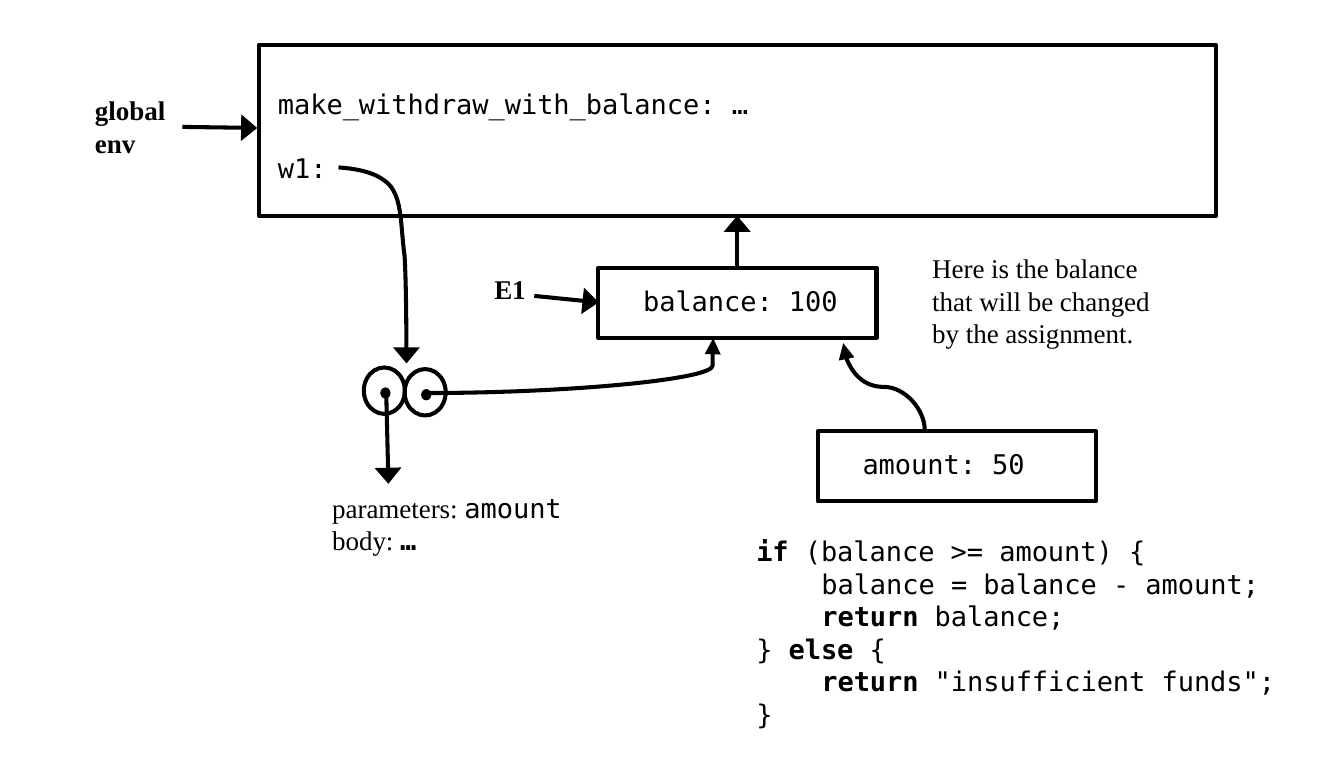
import dataclasses

import lxml.etree
import pptx
import pptx.dml.color
import pptx.enum.shapes
import pptx.enum.text
import pptx.oxml.ns
import pptx.util

Pt = pptx.util.Pt
qn = pptx.oxml.ns.qn
SHAPE = pptx.enum.shapes.MSO_SHAPE
CONNECTOR = pptx.enum.shapes.MSO_CONNECTOR


@dataclasses.dataclass(frozen=True)
class Theme:
    ink: pptx.dml.color.RGBColor = pptx.dml.color.RGBColor(0, 0, 0)
    serif: str = "Times New Roman"
    mono: str = "DejaVu Sans Mono"
    text_size: float = 10
    leading: float = 12.05
    line_width: float = 1.5
    code_indent: float = 24.1


class Diagram:
    def __init__(self, slide, theme):
        self.slide = slide
        self.theme = theme

    def stroke(self, shape):
        shape.line.color.rgb = self.theme.ink
        shape.line.width = Pt(self.theme.line_width)

    def outline(self, kind, left, top, width, height):
        shape = self.slide.shapes.add_shape(kind, Pt(left), Pt(top), Pt(width), Pt(height))
        shape.shadow.inherit = False
        shape.fill.background()
        self.stroke(shape)
        return shape

    def dot(self, center_x, center_y, width, height):
        shape = self.outline(SHAPE.OVAL, center_x - width / 2, center_y - height / 2, width, height)
        shape.fill.solid()
        shape.fill.fore_color.rgb = self.theme.ink
        shape.line.fill.background()

    def arrowhead(self, shape, end="tailEnd", width="lg"):
        line = shape.line._get_or_add_ln()
        lxml.etree.SubElement(line, qn("a:" + end), type="triangle", w=width, len="med")

    def connector(self, kind, begin, end):
        connector = self.slide.shapes.add_connector(kind, *map(Pt, begin + end))
        self.stroke(connector)
        lxml.etree.SubElement(connector._element.spPr, qn("a:effectLst"))
        return connector

    def arrow(self, begin, end):
        self.arrowhead(self.connector(CONNECTOR.STRAIGHT, begin, end))

    def curved_arrow(self, begin, end, rotation, bend):
        connector = self.connector(CONNECTOR.CURVE, begin, end)
        properties = connector._element.spPr
        properties.find(qn("a:xfrm")).set("rot", str(rotation * 60000))
        adjustments = properties.find(qn("a:prstGeom")).find(qn("a:avLst"))
        lxml.etree.SubElement(adjustments, qn("a:gd"), name="adj1", fmla=f"val {bend}")
        self.arrowhead(connector, "headEnd", "med")

    def bezier_arrow(self, start, curves, steps=12):
        points = [start]
        for first, second, end in curves:
            begin = points[-1]
            for step in range(1, steps + 1):
                t = step / steps
                u = 1 - t
                points.append(tuple(
                    u**3 * a + 3 * u * u * t * b + 3 * u * t * t * c + t**3 * d
                    for a, b, c, d in zip(begin, first, second, end)))
        points = [(Pt(x), Pt(y)) for x, y in points]
        builder = self.slide.shapes.build_freeform(*points[0])
        builder.add_line_segments(points[1:], close=False)
        shape = builder.convert_to_shape()
        shape.shadow.inherit = False
        shape.fill.background()
        self.stroke(shape)
        self.arrowhead(shape)

    def text(self, left, top, width, height, lines, font, bold=None, wrap=True, indents=()):
        box = self.slide.shapes.add_textbox(Pt(left), Pt(top), Pt(width), Pt(height))
        frame = box.text_frame
        frame.word_wrap = wrap
        frame.auto_size = pptx.enum.text.MSO_AUTO_SIZE.SHAPE_TO_FIT_TEXT
        for index, runs in enumerate(lines):
            paragraph = frame.add_paragraph() if index else frame.paragraphs[0]
            paragraph.line_spacing = Pt(self.theme.leading)
            paragraph.font.name = font
            paragraph.font.size = Pt(self.theme.text_size)
            paragraph.font.color.rgb = self.theme.ink
            paragraph.font.bold = bold
            if index in indents:
                paragraph._p.get_or_add_pPr().set("marL", str(Pt(self.theme.code_indent)))
            for content, *style in [(runs,)] if isinstance(runs, str) else runs:
                run = paragraph.add_run()
                run.text = content
                if "bold" in style:
                    run.font.bold = True
                if "mono" in style:
                    run.font.name = self.theme.mono


theme = Theme()
presentation = pptx.Presentation()
presentation.slide_width = Pt(497.5)
presentation.slide_height = Pt(283.7)
diagram = Diagram(presentation.slides.add_slide(presentation.slide_layouts[6]), theme)

diagram.outline(SHAPE.RECTANGLE, 95.8, 16.6, 354.4, 63.3)
for left, top in [(221.5, 99.2), (302.7, 159.8)]:
    diagram.outline(SHAPE.RECTANGLE, left, top, 103, 25.9)

label_height = 19.4
for left, top, width, label in [
    (95.8, 28.8, 207, "make_withdraw_with_balance: …"),
    (95.8, 52.4, 182, "w1:"),
    (231, 101.8, 93, "balance: 100"),
    (312.2, 162.2, 93, "amount: 50"),
]:
    diagram.text(left, top, width, label_height, [label], theme.mono)

diagram.text(28.1, 31.2, 43.2, 31.5, ["global", "env"], theme.serif, bold=True)
diagram.text(175.9, 97.2, 39.6, label_height, ["E1"], theme.serif, bold=True)
diagram.text(338, 89.6, 102.2, 43.9,
             ["Here is the balance that will be changed by the assignment."], theme.serif)
diagram.text(115.9, 178.4, 100.8, 31.5,
             [[("parameters: ",), ("amount", "mono")], [("body: ",), ("…", "mono", "bold")]],
             theme.serif, wrap=False)
diagram.text(272.9, 194.5, 208, 79.9, [
    [("if", "bold"), (" (balance >= amount) {",)],
    "balance = balance - amount;",
    [("return", "bold"), (" balance;",)],
    [("} ",), ("else", "bold"), (" {",)],
    [("return", "bold"), (' "insufficient funds";',)],
    "}",
], theme.mono, wrap=False, indents=(1, 2, 4))

for index in range(2):
    center_x, center_y = 142.3 + 15.1 * index, 144.7 + 0.6 * index
    diagram.outline(SHAPE.OVAL, center_x - 7.6, center_y - 8.6, 15.2, 17.2)
    diagram.dot(center_x + 0.4, center_y + 0.9, 3.8, 4.2)

for begin, end in [
    ((67.5, 47), (95.2, 47.4)),
    ((143, 146), (143.8, 179.2)),
    ((197.8, 109.6), (221.6, 112)),
    ((272.9, 99.2), (272.9, 79.9)),
]:
    diagram.arrow(begin, end)

diagram.bezier_arrow((125.3, 62), [
    ((133.2, 62.6), (140.4, 64.1), (144.7, 69.1)),
    ((149, 74.9), (148.3, 84.2), (149.8, 95)),
    ((150.5, 105.8), (150.5, 134.6), (150.5, 134.6)),
])
diagram.curved_arrow((157.7, 145.6), (264, 125.3), rotation=180, bend=200)
diagram.curved_arrow((343.4, 128.2), (311, 158.4), rotation=270, bend=50000)

presentation.save("out.pptx")
